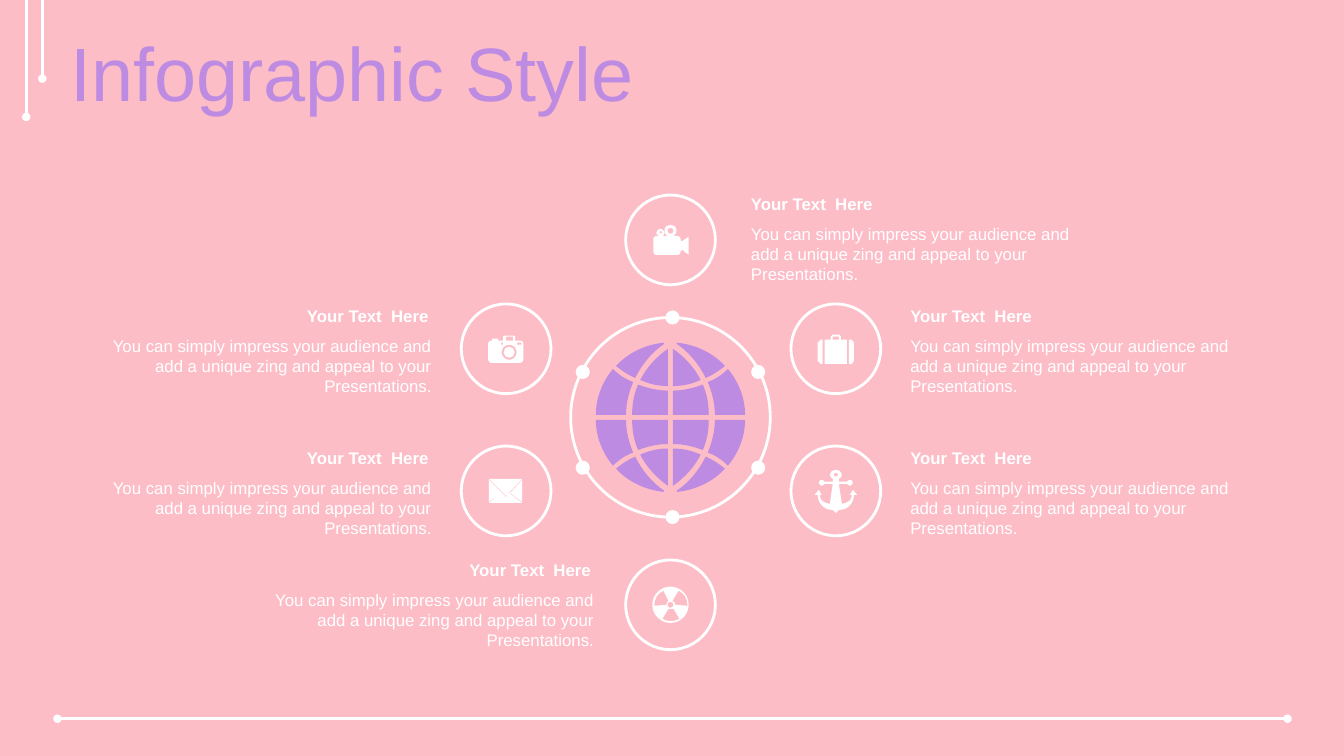
from lxml import etree
from pptx import Presentation
from pptx.dml.color import RGBColor
from pptx.enum.shapes import MSO_CONNECTOR, MSO_SHAPE
from pptx.enum.text import MSO_ANCHOR, MSO_AUTO_SIZE, PP_ALIGN
from pptx.oxml.ns import qn
from pptx.util import Inches, Pt

STRAIGHT = MSO_CONNECTOR.STRAIGHT
OVAL = MSO_SHAPE.OVAL
MIDDLE = MSO_ANCHOR.MIDDLE
NO_AUTOFIT = MSO_AUTO_SIZE.NONE
LEFT, RIGHT = PP_ALIGN.LEFT, PP_ALIGN.RIGHT

COLORS = {"pink": "FDBDC7", "purple": "BE8BE2", "white": "FFFFFF"}
PINK, PURPLE, WHITE = (RGBColor.from_string(value) for value in COLORS.values())
FONT = "Arial"
ARC = 0.55
QUARTER_TURNS = [(1, 0), (0, 1), (-1, 0), (0, -1), (1, 0)]

HEADING = "Your Text  Here"
MESSAGE = (
    "You can simply impress your audience and add a unique zing "
    "and appeal to your Presentations."
)

GLOBE_QUARTER = """
M 35 39 C 42 42 48 46 54 51 C 42 64 25 72 7 74 L 6 73 C 18 65 28 53 35 39
M 2.5 31 C 12 31 21 33 30 37 C 24 49 14 60 2.5 68
M 44 2.5 L 74 2.5 C 74 20 67 36 57 48 C 51 42 45 38 37 35 C 41 25 44 15 44 2.5
M 2.5 2.5 L 38 2.5 C 38 14 36 24 32 32.5 C 23 29 13 26.5 2.5 26.5
"""
VIDEO_CAMERA = """
O -9.5 -7.5 1.5 O 0 -9 3
M 0 -15 C 3 -15 6 -13 6 -9 C 6 -7 5 -5 3 -4 L 7 -4 C 9 -4 10 -2 10 -1
L 10 1 L 12 1 L 18 -3 L 18 15 L 12 10 L 10 11 L 10 12 C 10 14 9 15 7 15
L -14 15 C -16 15 -17 14 -17 12 L -17 -1 C -17 -2 -16 -4 -14 -4 L -11 -4
C -13 -4 -14 -6 -14 -7 C -14 -9 -12 -11 -10 -11 C -8 -11 -6 -9 -6 -7
C -6 -6 -7 -4 -8 -4 L -3 -4 C -5 -5 -6 -7 -6 -9 C -6 -13 -3 -15 0 -15
"""
SUITCASE = """
M 13 -9 L 16 -9 L 18 -6 L 18 12 L 16 15 L 13 15
M -15 -9 L -13 -9 L -13 15 L -15 15 L -18 12 L -18 -6
M -3 -12 L -3 -9 L 3 -9 L 3 -12
M -3 -14 L 4 -14 L 5 -12 L 5 -9 L 11 -9 L 11 15
L -11 15 L -11 -9 L -5 -9 L -5 -12
"""
ANCHOR = """
O 0 -16 2
M 0 -21 C 3 -21 6 -19 6 -16 C 6 -14 5 -13 3 -12 L 3 -9 L 11 -9
C 12 -10 13 -11 14 -11 C 15 -11 17 -10 17 -8 C 17 -7 15 -5 14 -5
C 13 -5 12 -6 11 -7 L 3 -7 L 6 13 C 11 12 16 10 16 4 L 14 4
L 17 -1 L 21 4 L 18 4 C 18 11 13 19 3 19
L 0 22 L -3 19 C -13 19 -18 11 -18 4 L -21 4
L -17 -1 L -14 4 L -16 4 C -16 10 -11 12 -6 13
L -3 -7 L -11 -7 C -12 -6 -13 -5 -14 -5 C -15 -5 -17 -7 -17 -8
C -17 -10 -15 -11 -14 -11 C -13 -11 -12 -10 -11 -9 L -3 -9 L -3 -12
C -5 -13 -6 -14 -6 -16 C -6 -19 -3 -21 0 -21
"""
RADIATION = """
M -2 4 L -8 14 C -3 17 4 17 9 14 L 3 4
O 0 0 3
M 8 -14 L 2 -4 C 4 -3 5 -1 5 0 L 17 1 C 17 -6 14 -11 8 -14
M -7 -14 C -13 -11 -16 -6 -16 1 L -4 0 C -4 -2 -3 -3 -2 -4
O 0 0 18
"""
ENVELOPE = """
M 3 2 L 16 12 L -17 12 L -4 2 L 0 6
M 16 -11 L 16 11 L 4 2
M -17 -11 L -4 2 L -17 11
M -17 -12 L 16 -12 L 0 5
"""
PHOTO_CAMERA = """
O 3 3.5 5.5 O 3 3.5 7.5
M -5 -6 L -5 -4 L -3 -4 L -3 -6
M 11 -6 L 11 -4 L 15 -4 L 15 -6
M 0 -12 L 0 -8 L 7 -8 L 7 -12
M -2 -13 L 8 -13 L 9 -12 L 9 -8 L 14 -8 C 16 -8 17 -7 17 -5
L 17 11 C 17 12 16 14 14 14 L -15 14 C -16 14 -18 12 -18 11
L -18 -5 C -18 -7 -16 -8 -15 -8 L -14 -8 L -14 -10 L -8 -10 L -8 -8
L -3 -8 L -3 -12
"""

TOPICS = [
    (6.65, 2.38, VIDEO_CAMERA, 7.35, 1.87, 3.55, LEFT),
    (8.29, 3.46, SUITCASE, 8.93, 2.98, 3.36, LEFT),
    (8.29, 4.87, ANCHOR, 8.93, 4.39, 3.36, LEFT),
    (6.65, 6.0, RADIATION, 2.52, 5.5, 3.44, RIGHT),
    (5.02, 4.87, ENVELOPE, 1.02, 4.39, 3.33, RIGHT),
    (5.02, 3.46, PHOTO_CAMERA, 1.02, 2.98, 3.33, RIGHT),
]

prs = Presentation()
prs.slide_width, prs.slide_height = Inches(13.33), Inches(7.5)
slide = prs.slides.add_slide(prs.slide_layouts[5])
slide.background.fill.solid()
slide.background.fill.fore_color.rgb = PINK
shapes = slide.shapes


def draw_outline(outline, center_x, center_y, color, flips=((1, 1),)):
    contours = []
    tokens = iter(outline.split())
    for command in tokens:
        count = {"M": 2, "L": 2, "O": 3, "C": 6}[command]
        values = [float(next(tokens)) for _ in range(count)]
        if command == "O":
            x, y, r = values
            contours.append([[(x + r, y)]])
            for (a, b), (c, d) in zip(QUARTER_TURNS, QUARTER_TURNS[1:]):
                turn = [(a + ARC * c, b + ARC * d), (c + ARC * a, d + ARC * b), (c, d)]
                contours[-1].append([(x + r * u, y + r * v) for u, v in turn])
            continue
        points = list(zip(values[::2], values[1::2]))
        if command == "M":
            contours.append([points])
        else:
            contours[-1].append(points)
    builder = None
    segments = []
    for flip_x, flip_y in flips:
        for contour in contours:
            placed = [
                [
                    (Inches(center_x + flip_x * x / 100), Inches(center_y + flip_y * y / 100))
                    for x, y in points
                ]
                for points in contour
            ]
            if builder is None:
                builder = shapes.build_freeform(*placed[0][0])
            else:
                builder.move_to(*placed[0][0])
            builder.add_line_segments([points[-1] for points in placed[1:]], close=True)
            segments += placed[1:]
    figure = builder.convert_to_shape()
    straight_pieces = list(figure._element.iter(qn("a:lnTo")))
    for piece, points in zip(straight_pieces, segments):
        if len(points) == 3:
            piece.tag = qn("a:cubicBezTo")
            piece.clear()
            for x, y in points:
                etree.SubElement(piece, qn("a:pt"), x=str(x - figure.left), y=str(y - figure.top))
    figure.shadow.inherit = False
    figure.fill.solid()
    figure.fill.fore_color.rgb = color
    figure.line.fill.background()


def add_circle(center_x, center_y, diameter, filled=False):
    left, top = center_x - diameter / 2, center_y - diameter / 2
    circle = shapes.add_shape(OVAL, Inches(left), Inches(top), Inches(diameter), Inches(diameter))
    circle.shadow.inherit = False
    if filled:
        circle.fill.solid()
        circle.fill.fore_color.rgb = WHITE
        circle.line.fill.background()
    else:
        circle.fill.background()
        circle.line.color.rgb = WHITE
        circle.line.width = Pt(2)


for x1, y1, x2, y2, ends in [
    (0.57, 7.13, 12.77, 7.13, ("a:headEnd", "a:tailEnd")),
    (0.26, 0, 0.26, 1.16, ("a:tailEnd",)),
    (0.42, 0, 0.42, 0.78, ("a:tailEnd",)),
]:
    rule = shapes.add_connector(STRAIGHT, Inches(x1), Inches(y1), Inches(x2), Inches(y2))
    rule.line.color.rgb = WHITE
    rule.line.width = Pt(2)
    for end in ends:
        etree.SubElement(rule.line._get_or_add_ln(), qn(end), type="oval")
    etree.SubElement(rule._element.spPr, qn("a:effectLst"))

title = shapes.title
title.left, title.top = Inches(0.6), Inches(0.37)
title.width, title.height = Inches(12.73), Inches(0.79)
title.text_frame.text = "Infographic Style"
title.text_frame.auto_size = NO_AUTOFIT
title.text_frame.vertical_anchor = MIDDLE
heading_line = title.text_frame.paragraphs[0]
heading_line.alignment = LEFT
heading_line.line_spacing = 0.9
heading_line.font.name = FONT
heading_line.font.size = Pt(54)
heading_line.font.color.rgb = PURPLE

draw_outline(GLOBE_QUARTER, 6.65, 4.14, PURPLE, ((1, 1), (-1, 1), (1, -1), (-1, -1)))
add_circle(6.65, 4.14, 1.98)
for dot_x, dot_ys in [(6.67, (3.15, 5.13)), (5.78, (3.69, 4.64)), (7.52, (3.69, 4.64))]:
    for dot_y in dot_ys:
        add_circle(dot_x, dot_y, 0.14, filled=True)

for badge_x, badge_y, icon, left, top, width, alignment in TOPICS:
    add_circle(badge_x, badge_y, 0.89)
    draw_outline(icon, badge_x, badge_y, WHITE)
    for words, y, w, h, bold in [
        (HEADING, top, width, 0.3, True),
        (MESSAGE, top + 0.3, width + 0.03, 0.71, False),
    ]:
        caption = shapes.add_textbox(Inches(left), Inches(y), Inches(w), Inches(h)).text_frame
        caption.word_wrap = True
        caption.text = words
        paragraph = caption.paragraphs[0]
        paragraph.alignment = alignment
        paragraph.font.name = FONT
        paragraph.font.size = Pt(12)
        paragraph.font.bold = bold
        paragraph.font.color.rgb = WHITE

prs.save("out.pptx")
